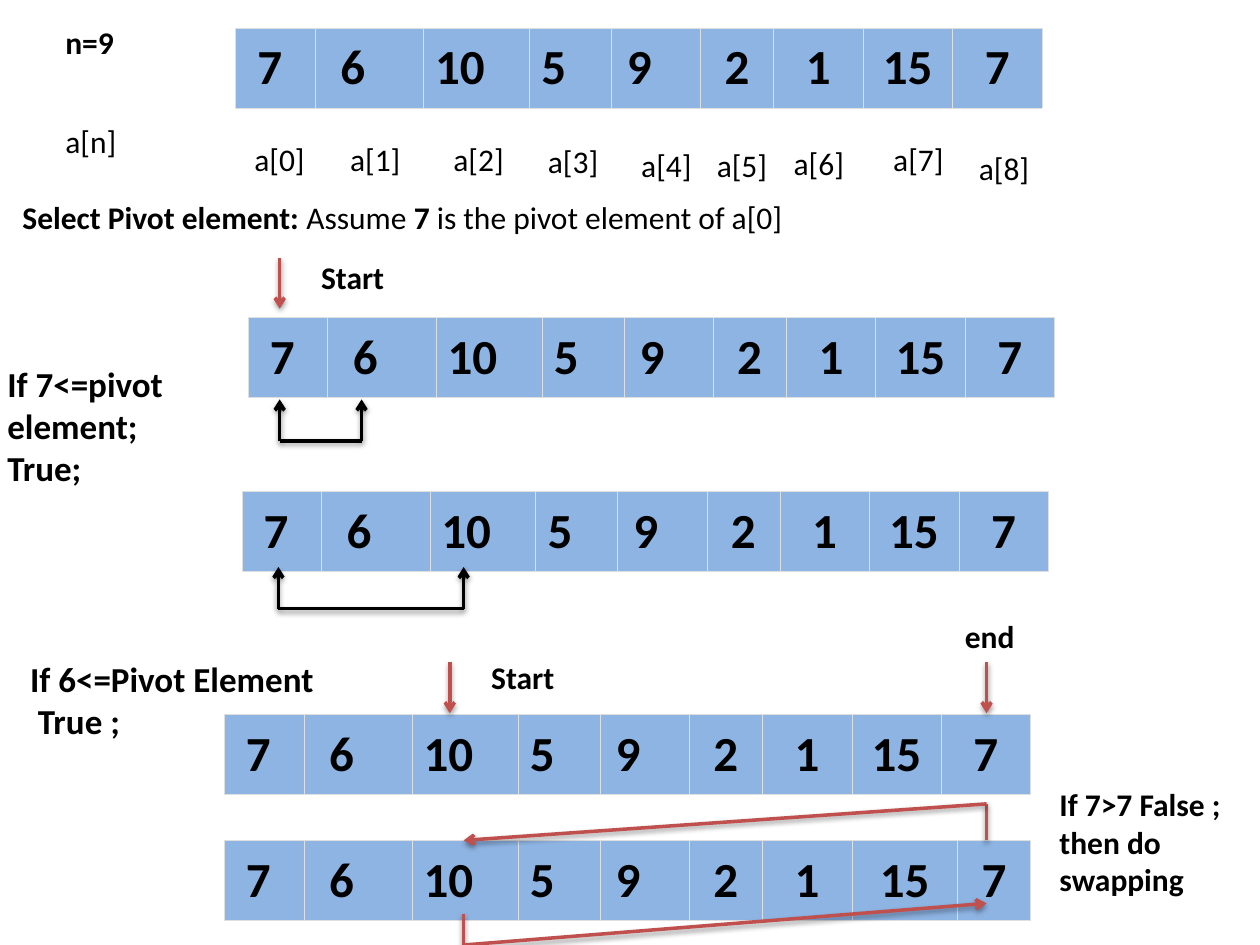
from dataclasses import dataclass
from typing import NamedTuple

from lxml.etree import SubElement
from pptx import Presentation
from pptx.dml.color import RGBColor
from pptx.enum.shapes import MSO_CONNECTOR
from pptx.enum.text import MSO_ANCHOR, MSO_AUTO_SIZE, PP_ALIGN
from pptx.oxml.ns import qn
from pptx.slide import Slide
from pptx.table import _Cell
from pptx.util import Emu, Inches, Pt


@dataclass(frozen=True)
class Theme:
    font: str = "Calibri"
    ink: str = "000000"
    accent: str = "C0504D"
    cell: str = "8EB4E3"
    border: str = "DFDFDF"
    label_size: int = 18
    note_size: int = 20
    value_size: int = 28
    line_width: float = 2
    border_width: float = 0.18


class Span(NamedTuple):
    text: str
    bold: bool = True


class Note(NamedTuple):
    left: float
    top: float
    width: float
    height: float
    paras: list[list[Span]]
    size: int
    wrap: bool = True


class Arrow(NamedTuple):
    start: tuple[float, float]
    end: tuple[float, float]
    color: str
    head: bool = True


class ArrayRow(NamedTuple):
    left: float
    top: float
    widths: list[float]


THEME = Theme()
SLIDE_WIDTH, SLIDE_HEIGHT = Inches(10), Inches(7.5)
GRID_COLUMNS, GRID_ROWS = 100, 75  # square units over the whole slide


def across(columns: float) -> Emu:
    return Emu(round(SLIDE_WIDTH * columns / GRID_COLUMNS))


def down(rows: float) -> Emu:
    return Emu(round(SLIDE_HEIGHT * rows / GRID_ROWS))


# Array values, with the left and right cell margins that place each one
VALUES = ["7", "6", "10", "5", "9", "2", "1", "15", "7"]
MARGINS = [(0.4, 1.3)] + [(0.4, 3)] * 4 + [(0.8, 0.8)] * 4
ROW_HEIGHT = 6.3
WIDTHS = [6.3, 8.6, 8.4, 6.5, 7.1, 5.8, 7.1, 7.1, 7.1]
LAST_WIDTHS = WIDTHS[:7] + [8.4, 5.8]
ARRAYS = [
    ArrayRow(18.7, 2.2, WIDTHS),
    ArrayRow(19.7, 25.2, WIDTHS),
    ArrayRow(19.2, 39, WIDTHS),
    ArrayRow(17.8, 56.7, WIDTHS),
    ArrayRow(17.8, 66.7, LAST_WIDTHS),
]

# Left and top of the index labels a[0] to a[8]
INDEX_PLACES = [(19.2, 10.6), (26.8, 10.6), (35, 10.6), (42.5, 10.8), (49.9, 11.1),
                (55.9, 11.1), (62, 10.9), (69.9, 10.6), (76.7, 11.3)]

LABEL, NOTE = THEME.label_size, THEME.note_size
NOTES = [
    Note(4.2, 1.3, 6.7, 4, [[Span("n=9")]], LABEL),
    Note(4.2, 9.2, 8.3, 4.2, [[Span("a[n]", False)]], LABEL),
    *[Note(left, top, 6.1, 4, [[Span(f"a[{index}]", False)]], LABEL, False)
      for index, (left, top) in enumerate(INDEX_PLACES)],
    Note(0.8, 15.2, 69, 4, [[Span("Select Pivot element: "), Span("Assume ", False), Span("7"),
                             Span(" is the pivot element of a[0]", False)]], LABEL),
    Note(-0.4, 28.3, 23.6, 14.1, [[Span("If 7<=pivot element;")], [Span("True;")]], NOTE),
    Note(1.4, 51.7, 24.7, 7.7, [[Span("If 6<=Pivot Element")], [Span(" True ;")]], NOTE, False),
    Note(24.5, 20, 8.3, 4, [[Span("Start")]], LABEL),
    Note(38, 51.7, 8.3, 4, [[Span("Start")]], LABEL),
    Note(75.6, 48.5, 8.3, 4, [[Span("end")]], LABEL),
    Note(83.1, 61.8, 15.5, 10.1,
         [[Span("If 7>7 False ;")], [Span("then do")], [Span("swapping")]], LABEL, False),
]


def pointer(column: float, top: float, bottom: float) -> Arrow:
    return Arrow((column, top), (column, bottom), THEME.accent)


def bracket(left: float, right: float, base: float) -> list[Arrow]:
    """Two upward arrows joined by a bar: the pair being compared."""
    rise = 3.3
    sides = [Arrow((x, base), (x, base - rise), THEME.ink) for x in (left, right)]
    return sides + [Arrow((left, base), (right, base), THEME.ink, False)]


def swap(start: tuple[float, float], turn: float, end: tuple[float, float]) -> list[Arrow]:
    """A short upright line, then a slanted arrow to the other element."""
    corner = (start[0], turn)
    return [Arrow(start, corner, THEME.accent, False), Arrow(corner, end, THEME.accent)]


ARROWS = [
    *bracket(22.2, 28.7, 35),
    *bracket(22.1, 36.8, 48.3),
    pointer(22.2, 20.5, 24.5),
    pointer(35.7, 52.5, 56.6),
    pointer(78.3, 52.5, 56.6),
    *swap((78.3, 66.7), 63.8, (36.8, 66.7)),
    *swap((36.8, 72.5), 75, (78.3, 71.7)),
]


def add_span(para, span: Span, size: int) -> None:
    run = para.add_run()
    run.text = span.text
    run.font.name = THEME.font
    run.font.size = Pt(size)
    run.font.bold = span.bold
    run.font.color.rgb = RGBColor.from_string(THEME.ink)


def add_note(page: Slide, note: Note) -> None:
    box = page.shapes.add_textbox(across(note.left), down(note.top),
                                  across(note.width), down(note.height))
    frame = box.text_frame
    frame.word_wrap = note.wrap
    frame.auto_size = MSO_AUTO_SIZE.SHAPE_TO_FIT_TEXT
    for index, spans in enumerate(note.paras):
        para = frame.add_paragraph() if index else frame.paragraphs[0]
        for span in spans:
            add_span(para, span, note.size)


def set_borders(cell: _Cell) -> None:
    properties = cell._tc.get_or_add_tcPr()
    for position, side in enumerate(("a:lnL", "a:lnR", "a:lnT", "a:lnB")):
        line = SubElement(properties, qn(side), w=str(Pt(THEME.border_width)))
        properties.insert(position, line)  # borders come before the fill
        fill = SubElement(line, qn("a:solidFill"))
        SubElement(fill, qn("a:srgbClr"), val=THEME.border)


def add_array(page: Slide, array: ArrayRow) -> None:
    table = page.shapes.add_table(1, len(VALUES), across(array.left), down(array.top),
                                  across(sum(array.widths)), down(ROW_HEIGHT)).table
    table.first_row = table.horz_banding = False
    for index, (value, width, margins) in enumerate(zip(VALUES, array.widths, MARGINS)):
        table.columns[index].width = across(width)
        cell = table.cell(0, index)
        cell.fill.solid()
        cell.fill.fore_color.rgb = RGBColor.from_string(THEME.cell)
        cell.vertical_anchor = MSO_ANCHOR.MIDDLE
        cell.margin_left, cell.margin_right = map(across, margins)
        cell.margin_top = cell.margin_bottom = down(0.8)
        para = cell.text_frame.paragraphs[0]
        para.alignment = PP_ALIGN.CENTER
        add_span(para, Span(value), THEME.value_size)
        set_borders(cell)


def add_arrow(page: Slide, arrow: Arrow) -> None:
    (x1, y1), (x2, y2) = arrow.start, arrow.end
    connector = page.shapes.add_connector(MSO_CONNECTOR.STRAIGHT, across(x1), down(y1),
                                          across(x2), down(y2))
    connector.line.width = Pt(THEME.line_width)
    connector.line.color.rgb = RGBColor.from_string(arrow.color)
    if arrow.head:
        SubElement(connector.line._get_or_add_ln(), qn("a:tailEnd"), type="arrow")
    # Soft shadow straight below the line
    effects = SubElement(connector._element.spPr, qn("a:effectLst"))
    shadow = SubElement(effects, qn("a:outerShdw"), blurRad=str(Pt(3.1)), dist=str(Pt(1.6)),
                        dir="5400000", rotWithShape="0")
    color = SubElement(shadow, qn("a:srgbClr"), val=THEME.ink)
    SubElement(color, qn("a:alpha"), val="38000")


def main() -> None:
    deck = Presentation()
    deck.slide_width, deck.slide_height = SLIDE_WIDTH, SLIDE_HEIGHT
    page = deck.slides.add_slide(deck.slide_layouts[6])
    for draw, items in ((add_array, ARRAYS), (add_note, NOTES), (add_arrow, ARROWS)):
        for item in items:
            draw(page, item)
    deck.save("out.pptx")


if __name__ == "__main__":
    main()
